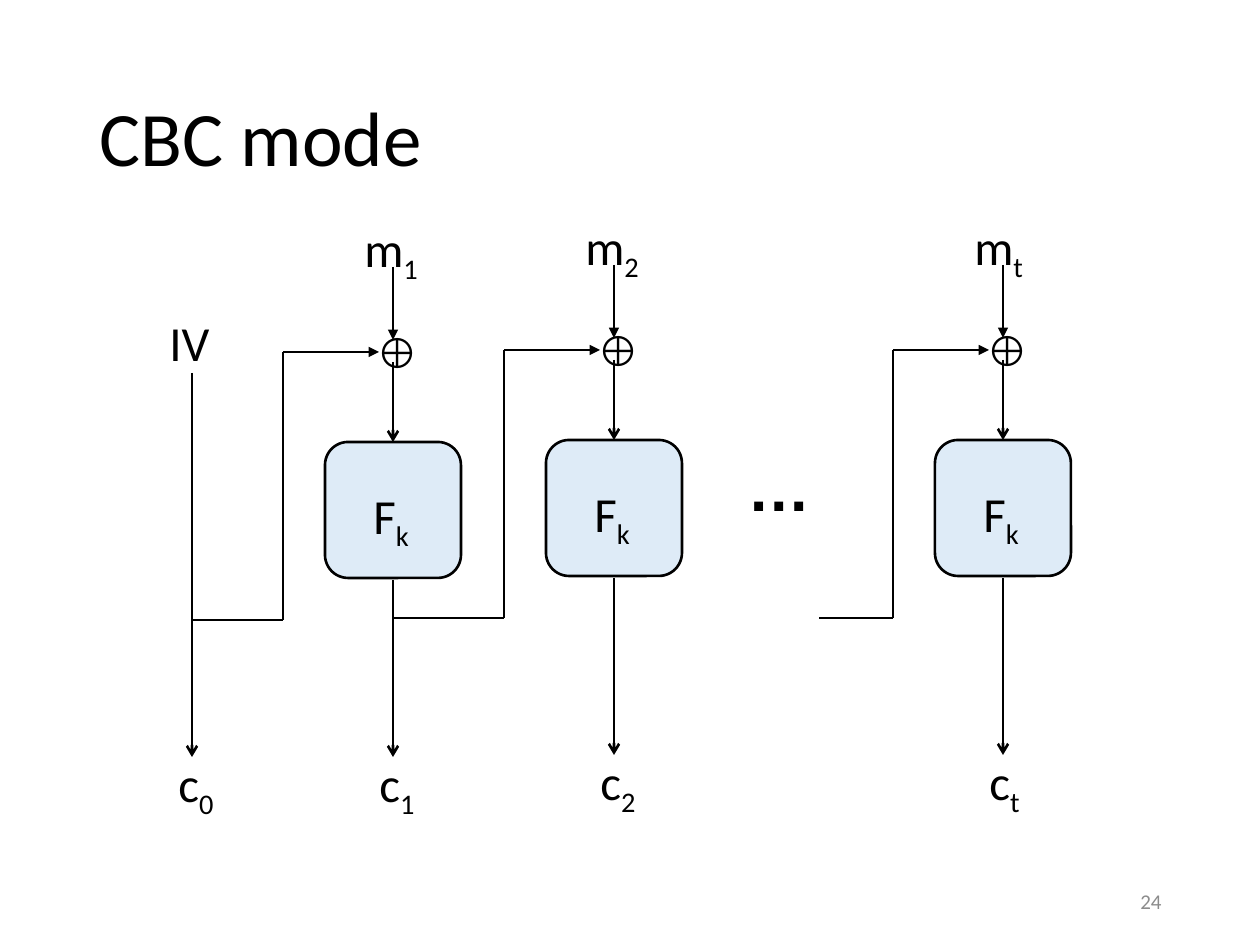
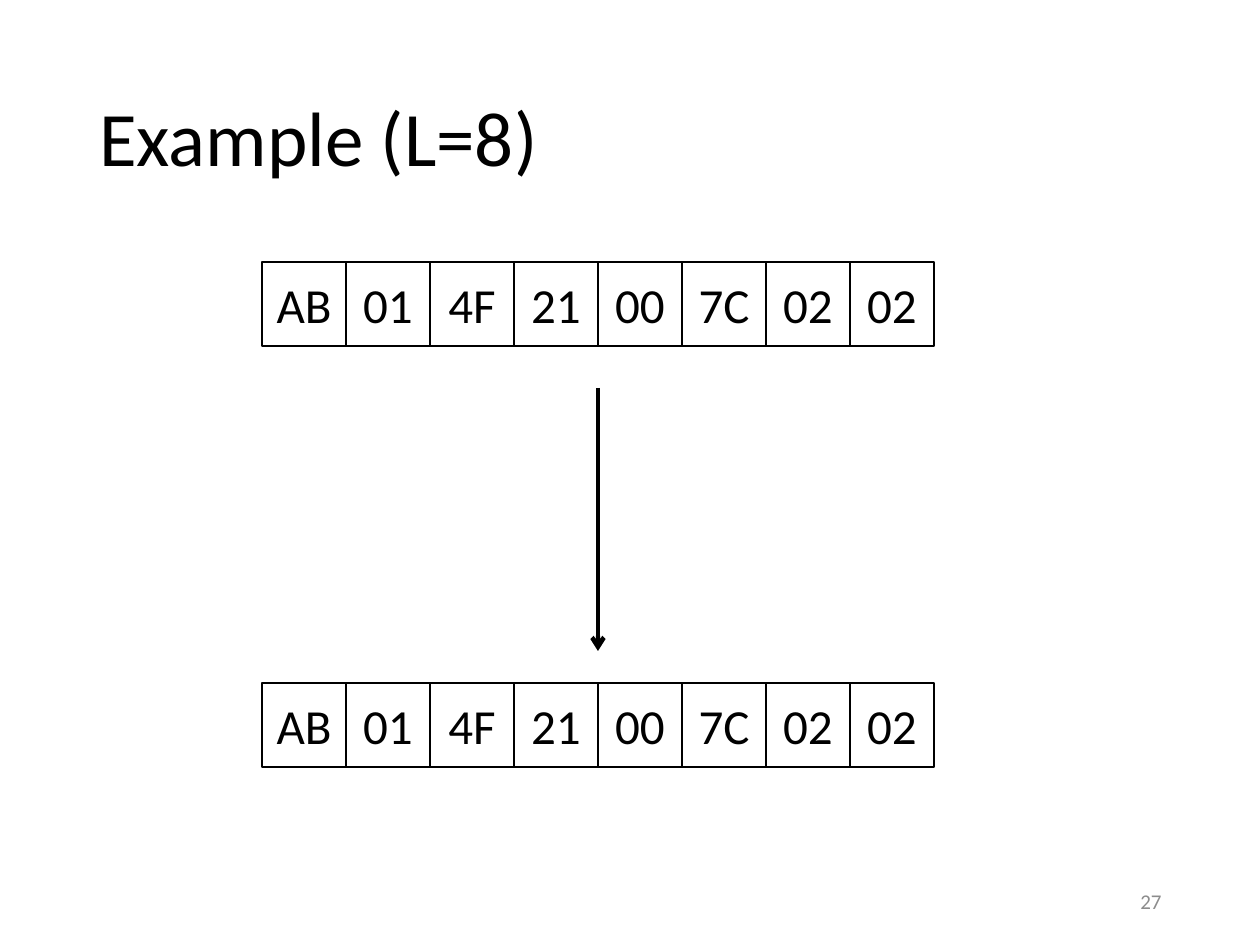
"""Builds two slides: a CBC mode diagram and a padded block example."""
from lxml import etree
from pptx import Presentation
from pptx import util as u
from pptx.dml.color import RGBColor
from pptx.enum import shapes, text
from pptx.oxml.ns import qn

SCALE = u.Inches(1) / 126
BLACK = RGBColor(0x00, 0x00, 0x00)
GREY = RGBColor(0x8C, 0x8C, 0x8C)
PALE_BLUE = RGBColor(0xDE, 0xEB, 0xF7)
WHITE = RGBColor(0xFF, 0xFF, 0xFF)

BODY = {"name": "Calibri", "size": u.Pt(28)}
TITLE = {"name": "Calibri", "size": u.Pt(44)}
NUMBER = {"name": "Calibri", "size": u.Pt(12)}
XOR = {"name": "Arial", "size": u.Pt(24)}
DOTS = {"name": "Arial", "size": u.Pt(36), "bold": True}
LABEL_FRAME = {"word_wrap": False, "auto_size": text.MSO_AUTO_SIZE.SHAPE_TO_FIT_TEXT}
MIDDLE_FRAME = {"word_wrap": True, "vertical_anchor": text.MSO_ANCHOR.MIDDLE}

CIPHER_SIZE = 136
CELL_SIZE = 84
ROW_LEFT = 262
BLOCK = ["AB", "01", "4F", "21", "00", "7C", "02", "02"]


def px(*lengths):
    return [round(length * SCALE) for length in lengths]


def apply(target, values):
    for name, value in values.items():
        setattr(target, name, value)


def write(box, words, font, frame, layout=None, color=BLACK, subscript=""):
    apply(box.text_frame, frame)
    para = box.text_frame.paragraphs[0]
    apply(para, layout or {})
    for part in filter(None, (words, subscript)):
        span = para.add_run()
        span.text = part
        apply(span.font, font)
        span.font.color.rgb = color
    if subscript:
        span._r.get_or_add_rPr().set("baseline", "-25000")


def add_label(page, place, words, subscript="", font=BODY):
    box = page.shapes.add_textbox(*px(*place))
    write(box, words, font, LABEL_FRAME, subscript=subscript)


def add_line(page, start, end, head=None, width=1.5):
    line = page.shapes.add_connector(shapes.MSO_CONNECTOR.STRAIGHT, *px(*start, *end))
    line.line.color.rgb = BLACK
    line.line.width = u.Pt(width)
    if head:
        outline = line.line._get_or_add_ln()
        etree.SubElement(outline, qn("a:tailEnd"), type=head)
    etree.SubElement(line._element.spPr, qn("a:effectLst"))


def add_outlined(page, kind, left, top, size):
    box = page.shapes.add_shape(kind, *px(left, top, size, size))
    box.shadow.inherit = False
    box.line.color.rgb = BLACK
    box.line.width = u.Pt(1.5)
    return box


def add_page(deck, title, number):
    page = deck.slides.add_slide(deck.slide_layouts[6])
    page.background.fill.solid()
    page.background.fill.fore_color.rgb = WHITE
    heading = page.shapes.add_textbox(*px(87, 50, 1086, 183))
    write(heading, title, TITLE, MIDDLE_FRAME, {"line_spacing": 0.9})
    footer = page.shapes.add_textbox(*px(890, 876, 284, 50))
    write(footer, number, NUMBER, MIDDLE_FRAME,
          {"alignment": text.PP_ALIGN.RIGHT}, GREY)
    return page


def add_output(page, axis, top, start, index, width=63):
    add_line(page, (axis, start), (axis, top + 315), "arrow")
    add_label(page, (axis - 26, top + 305, width, 72), "c", index)


def add_feedback(page, source, axis, top):
    elbow, low, high = axis - 110, top + 178, top - 90
    add_line(page, (source, low), (elbow, low))
    add_line(page, (elbow, low), (elbow, high))
    add_line(page, (elbow, high), (axis - 14, high), "triangle")


def add_stage(page, axis, top, source, index, message_width, output_width):
    cipher = add_outlined(page, shapes.MSO_SHAPE.ROUNDED_RECTANGLE,
                          axis - CIPHER_SIZE // 2, top, CIPHER_SIZE)
    cipher.adjustments[0] = 0.17
    cipher.fill.solid()
    cipher.fill.fore_color.rgb = PALE_BLUE
    add_label(page, (axis - 32, top + 37, 63, 72), "F", "k")
    add_label(page, (axis - 41, top - 230, message_width, 72), "m", index)
    add_line(page, (axis, top - 175), (axis, top - 102), "triangle")
    add_label(page, (axis - 29, top - 122, 58, 64), "⊕", font=XOR)
    add_line(page, (axis, top - 80), (axis, top), "arrow")
    add_output(page, axis, top, top + 138, index, output_width)
    add_feedback(page, source, axis, top)


def add_byte_row(page, top):
    for column, value in enumerate(BLOCK):
        cell = add_outlined(page, shapes.MSO_SHAPE.RECTANGLE,
                            ROW_LEFT + column * CELL_SIZE, top, CELL_SIZE)
        cell.fill.background()
        write(cell, value, BODY, MIDDLE_FRAME, {"alignment": text.PP_ALIGN.CENTER})


def build_cbc(deck):
    page = add_page(deck, "CBC mode", "24")
    add_label(page, (157, 306, 66, 72), "IV")
    add_output(page, 192, 442, 373, "0")
    add_stage(page, 393, 442, 192, "1", 82, 63)
    add_stage(page, 614, 440, 393, "2", 82, 63)
    add_stage(page, 1003, 440, 819, "t", 76, 58)
    add_label(page, (735, 442, 89, 89), "…", font=DOTS)


def build_example(deck):
    page = add_page(deck, "Example (L=8)", "27")
    add_byte_row(page, 262)
    center = ROW_LEFT + CELL_SIZE * len(BLOCK) // 2
    add_line(page, (center, 388), (center, 651), "arrow", 2.5)
    add_byte_row(page, 683)


def main():
    deck = Presentation()
    apply(deck, {"slide_width": u.Inches(10), "slide_height": u.Inches(7.5)})
    build_cbc(deck)
    build_example(deck)
    deck.save("out.pptx")


main()
